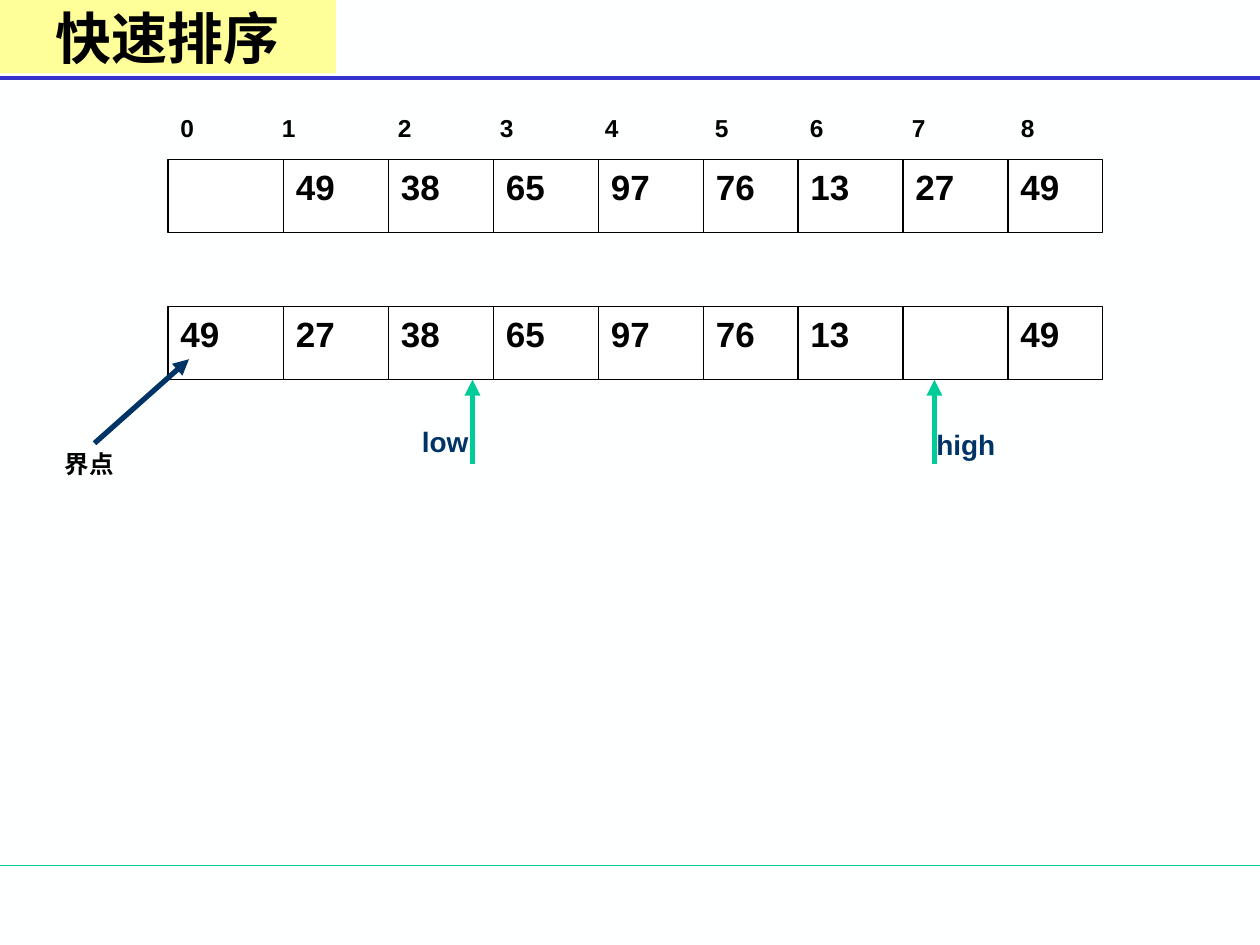
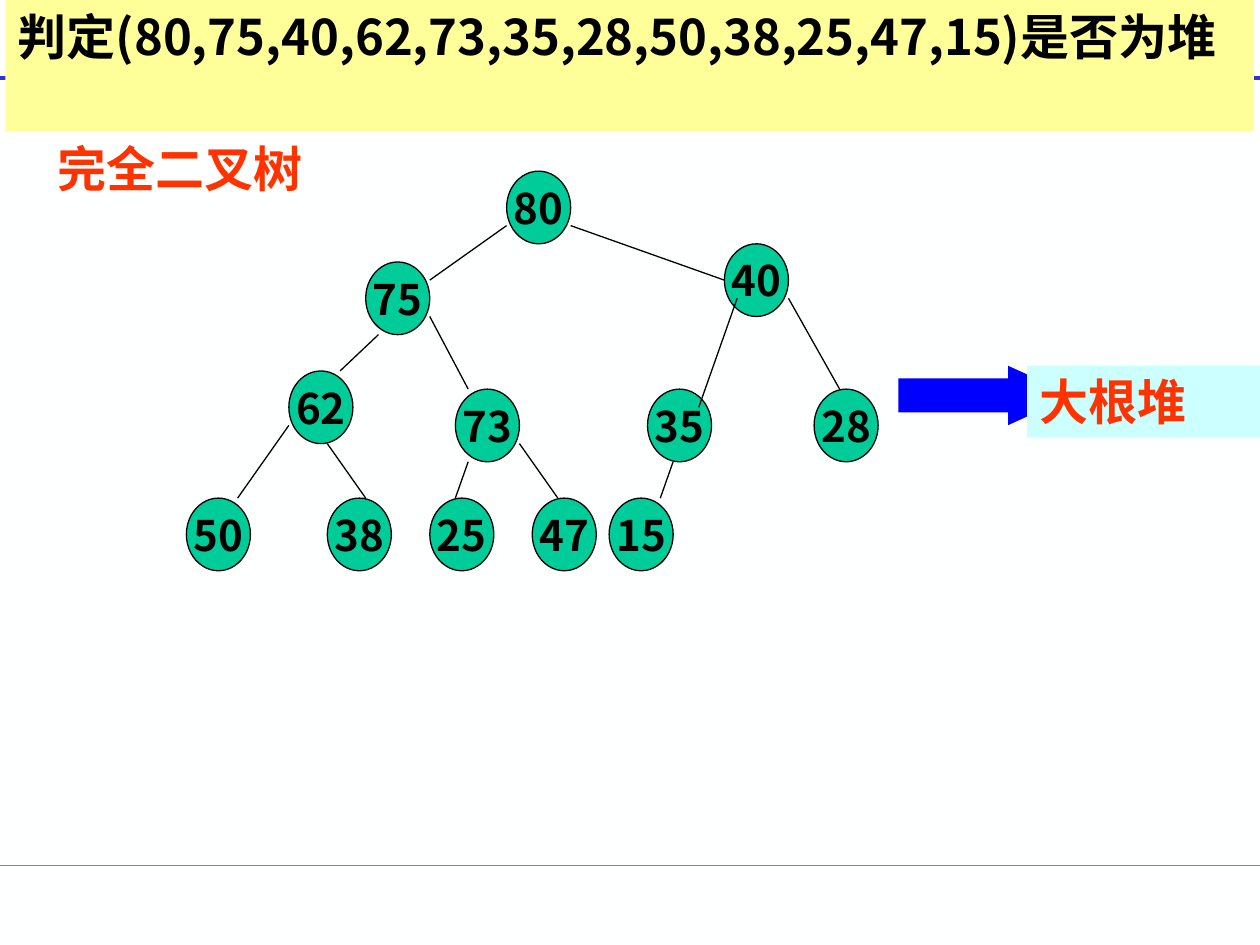
from lxml import etree
from pptx import Presentation
from pptx.dml.color import RGBColor
from pptx.enum import shapes, text
from pptx.oxml.ns import qn
from pptx.util import Pt

BLACK, WHITE, GREEN, NAVY = "000000", "FFFFFF", "00CC99", "003366"
YELLOW, RED, BLUE, PALE = "FFFF99", "FF3300", "0000FF", "CCFFFF"
SANS, SERIF, CHINESE = "Arial", "Times New Roman", "Noto Sans CJK SC"
LEFT, CENTER = text.PP_ALIGN.LEFT, text.PP_ALIGN.CENTER
TOP, MIDDLE = text.MSO_ANCHOR.TOP, text.MSO_ANCHOR.MIDDLE

COLUMN_EDGES = [0, 66, 126, 186, 246, 306, 360, 420, 480, 534]
INDEX_TABS = [58, 124.3, 182.6, 242.6, 305.5, 359.7, 418, 480.3]
ROW_HEIGHT = 42

UNIT_X, UNIT_Y = 7.32, 10.38
NODES = [
    (80, 25, 0), (75, 19 - 5, 5), (40, 42, 4), (62, 8, 11), (73, 21, 12),
    (35, 36, 12), (28, 49, 12), (50, 0, 18), (38, 11, 18), (25, 19, 18),
    (47, 27, 18), (15, 33, 18),
]
EDGES = [
    (25, 3, 19, 6), (30, 3, 42, 6), (15, 9, 12, 11), (19, 8, 22, 12),
    (43, 7, 40, 13), (47, 7, 51, 12), (8, 14, 4, 18), (11, 15, 14, 18),
    (22, 16, 21, 18), (26, 15, 29, 18), (38, 16, 37, 18),
]


def color(value):
    return RGBColor.from_string(value)


def write(shape, words, size, font=SANS, ink=BLACK, align=LEFT, anchor=TOP, wrap=True):
    frame = shape.text_frame
    frame.word_wrap = wrap
    frame.auto_size = text.MSO_AUTO_SIZE.NONE
    frame.vertical_anchor = anchor
    frame.margin_left = frame.margin_right = Pt(7.2)
    frame.margin_top = frame.margin_bottom = Pt(3.6)
    paragraph = frame.paragraphs[0]
    paragraph.alignment = align
    run = paragraph.add_run()
    run.text = words
    run.font.name = font
    run.font.size = Pt(size)
    run.font.bold = True
    run.font.color.rgb = color(ink)
    etree.SubElement(run.font._element, qn("a:ea"), typeface=CHINESE)
    return paragraph


def add_label(slide, box, words, size, font=SANS, ink=BLACK):
    label = slide.shapes.add_textbox(*map(Pt, box))
    return write(label, words, size, font, ink)


def add_block(slide, kind, box, fill, line=None):
    block = slide.shapes.add_shape(kind, *map(Pt, box))
    block.shadow.inherit = False
    block.fill.solid()
    block.fill.fore_color.rgb = color(fill)
    if line:
        block.line.color.rgb = color(line)
        block.line.width = Pt(0.75)
    else:
        block.line.fill.background()
    return block


def add_line(slide, ends, ink=BLACK, width=0.75, arrow=False):
    line = slide.shapes.add_connector(shapes.MSO_CONNECTOR.STRAIGHT, *map(Pt, ends))
    line.line.color.rgb = color(ink)
    line.line.width = Pt(width)
    if arrow:
        etree.SubElement(line.line._get_or_add_ln(), qn("a:tailEnd"), type="triangle")
    etree.SubElement(line.element.spPr, qn("a:effectLst"))
    return line


def set_title(slide, box, words, size, font, align, anchor):
    title = slide.shapes.title
    title.left, title.top, title.width, title.height = map(Pt, box)
    title.fill.solid()
    title.fill.fore_color.rgb = color(YELLOW)
    write(title, words, size, font, BLACK, align, anchor)


def style_layout(presentation, layout, slide):
    background = presentation.slide_master.background.fill
    background.solid()
    background.fore_color.rgb = color("FEFFFF")
    rules = [(494.7, GREEN, 0.75), (44.7, "3333CC", 2.25)]
    for number, (y, ink, width) in enumerate(rules, 20):
        rule = add_line(slide, (0, y, 720, y), ink, width)
        rule.element.nvCxnSpPr.cNvPr.set("id", str(number))
        layout.shapes.element.append(rule.element)


def add_indices(slide, x, y):
    box = (x, y, COLUMN_EDGES[-1], 24.5)
    paragraph = add_label(slide, box, "\t".join(map(str, range(9))), 14)
    tabs = etree.SubElement(paragraph._p.get_or_add_pPr(), qn("a:tabLst"))
    for position in INDEX_TABS:
        etree.SubElement(tabs, qn("a:tab"), pos=str(Pt(position)), algn="l")


def add_array(slide, x, y, values):
    box = (x, y, COLUMN_EDGES[-1], ROW_HEIGHT)
    add_block(slide, shapes.MSO_SHAPE.RECTANGLE, box, WHITE, BLACK)
    for edge in COLUMN_EDGES[1:-1]:
        add_line(slide, (x + edge, y, x + edge, y + ROW_HEIGHT))
    for edge, value in zip(COLUMN_EDGES, values):
        if value:
            add_label(slide, (x + edge, y, 48, 31.7), str(value), 20)


def add_pointer(slide, x, y, name, dx, dy):
    add_line(slide, (x, y + 48, x, y), GREEN, 3, arrow=True)
    add_label(slide, (x + dx, y + dy, 66, 26.6), name, 16, ink=NAVY)


def add_pivot(slide, x, y):
    add_line(slide, (x + 24, y, x + 78, y - 48), NAVY, 3, arrow=True)
    add_label(slide, (x, y, 60, 24.5), "界点", 14)


def add_tree(slide, x, y):
    for value, column, row in NODES:
        box = (x + column * UNIT_X, y + row * UNIT_Y, 5 * UNIT_X, 4 * UNIT_Y)
        node = add_block(slide, shapes.MSO_SHAPE.OVAL, box, GREEN, BLACK)
        write(node, str(value), 24, CHINESE, BLACK, CENTER, MIDDLE, wrap=False)
    for x1, y1, x2, y2 in EDGES:
        add_line(slide, (x + x1 * UNIT_X, y + y1 * UNIT_Y, x + x2 * UNIT_X, y + y2 * UNIT_Y))


def add_verdict(slide, x, y):
    arrow = add_block(slide, shapes.MSO_SHAPE.RIGHT_ARROW, (x, y, 100, 34), BLUE)
    arrow.adjustments[0], arrow.adjustments[1] = 0.57, 1.1
    box = (x + 73.5, y, 720 - x - 73.5, 41)
    verdict = add_block(slide, shapes.MSO_SHAPE.RECTANGLE, box, PALE)
    write(verdict, "大根堆", 28, SERIF, RED)


def build_quick_sort(slide):
    set_title(slide, (0, 0, 192, 42), "快速排序", 32, SERIF, CENTER, MIDDLE)
    add_array(slide, 96, 175, [49, 27, 38, 65, 97, 76, 13, None, 49])
    add_array(slide, 96, 91, [None, 49, 38, 65, 97, 76, 13, 27, 49])
    add_indices(slide, 96, 61)
    add_pointer(slide, 534, 217, "high", -6, 24)
    add_pointer(slide, 270, 217, "low", -36, 22)
    add_pivot(slide, 30, 253.3)


def build_heap(slide):
    set_title(slide, (3, 0, 713.5, 75), "判定(80,75,40,62,73,35,28,50,38,25,47,15)是否为堆",
              28, CHINESE, LEFT, TOP)
    add_tree(slide, 106.5, 97.8)
    add_label(slide, (26, 75.6, 208, 41), "完全二叉树", 28, SERIF, RED)
    add_verdict(slide, 513.4, 209)


def main():
    presentation = Presentation()
    presentation.slide_width, presentation.slide_height = Pt(720), Pt(540)
    layout = presentation.slide_layouts[5]
    sorting, heap = [presentation.slides.add_slide(layout) for _ in range(2)]
    style_layout(presentation, layout, sorting)
    build_quick_sort(sorting)
    build_heap(heap)
    presentation.save("out.pptx")


if __name__ == "__main__":
    main()
